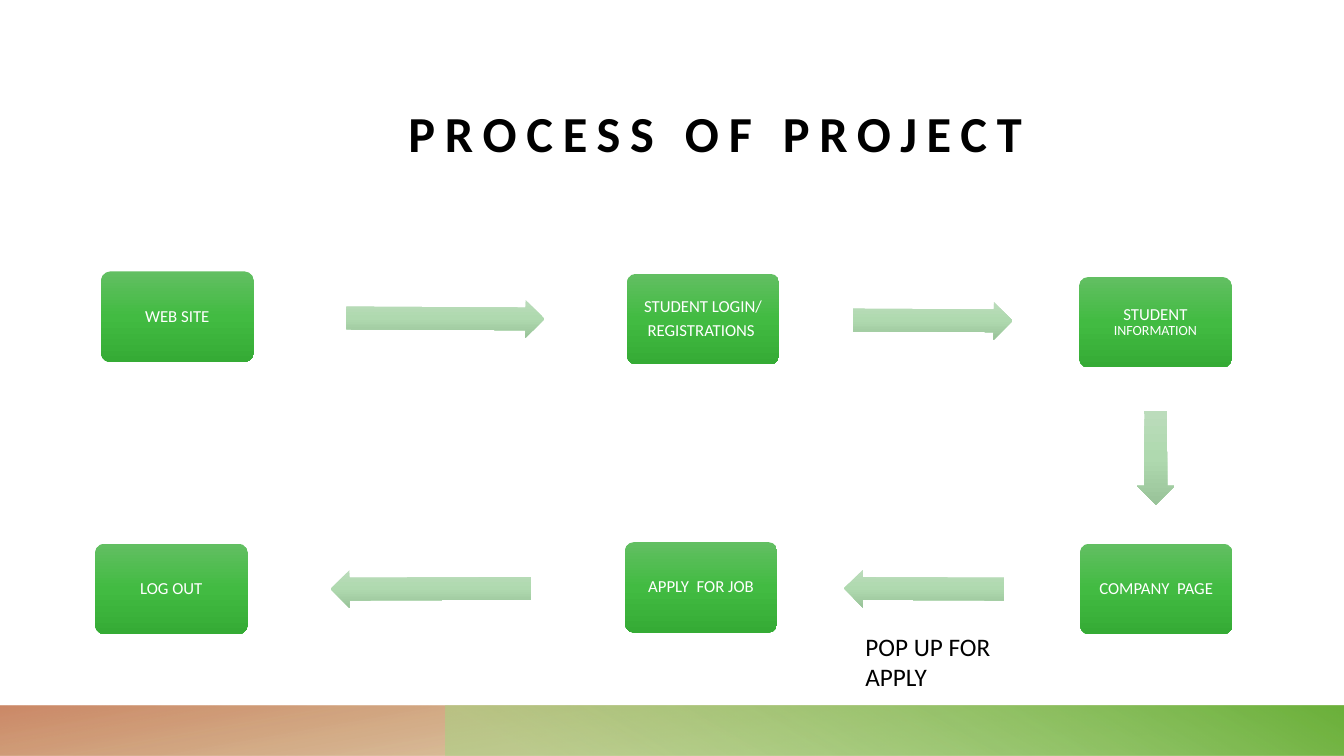
from dataclasses import dataclass
from typing import NamedTuple

from lxml.etree import SubElement
from pptx import Presentation
from pptx.dml.color import RGBColor
from pptx.enum.shapes import MSO_SHAPE as Preset
from pptx.enum.text import MSO_ANCHOR as Anchor, PP_ALIGN as Align
from pptx.oxml.ns import qn
from pptx.shapes.autoshape import Shape
from pptx.slide import Slide
from pptx.util import Cm, Pt


class Stop(NamedTuple):
    position: int
    color: str
    opacity: int = 100


class Words(NamedTuple):
    text: str
    size: int


class Area(NamedTuple):
    left: float
    top: float
    width: float
    height: float


@dataclass(frozen=True)
class Theme:
    font: str = "Calibri"
    ink: str = "000000"
    step_ink: str = "FFFFFF"
    title_size: int = 36
    caption_size: int = 18
    step_size: int = 12
    detail_size: int = 10
    step_fill: tuple[Stop, ...] = (Stop(0, "62BF62"), Stop(50, "42BB42"), Stop(100, "35AB35"))
    arrow_fill: tuple[Stop, ...] = (Stop(0, "BBDCBB"), Stop(50, "AFD9AF"), Stop(100, "99C399"))
    clay_fill: tuple[Stop, ...] = (Stop(14, "B1933B", 28), Stop(100, "C3744D", 85))
    leaf_fill: tuple[Stop, ...] = (Stop(9, "A6D684", 55), Stop(99, "6CB13B"))


THEME = Theme()
SLIDE_WIDTH, SLIDE_HEIGHT = 33.87, 19.05
BAND_HEIGHT = 1.27
BAND_TOP = SLIDE_HEIGHT - BAND_HEIGHT
LEAF_LEFT = 11.22
STEP_WIDTH, STEP_HEIGHT = 3.84, 2.28
ARROW_HEIGHT = 0.95


@dataclass(frozen=True)
class Step:
    left: float
    top: float
    lines: tuple[tuple[Words, ...], ...]


@dataclass(frozen=True)
class Arrow:
    left: float
    top: float
    length: float
    rotation: float


def line(text: str) -> tuple[Words, ...]:
    return (Words(text, THEME.step_size),)


STEPS = (
    Step(2.55, 6.84, (line("WEB SITE"),)),
    Step(15.8, 6.9, (line("STUDENT LOGIN/"), line("REGISTRATIONS "))),
    Step(27.2, 6.98, ((*line("STUDENT "), Words("INFORMATION", THEME.detail_size)),)),
    Step(27.22, 13.7, (line("COMPANY  PAGE"),)),
    Step(15.75, 13.66, (line("APPLY  FOR JOB"),)),
    Step(2.4, 13.7, (line("LOG OUT"),)),
)
ARROWS = (
    Arrow(8.73, 7.55, 4.99, 0.3),
    Arrow(21.5, 7.6, 4.02, 0.3),
    Arrow(27.94, 11.06, 2.37, 89.8),
    Arrow(21.27, 14.36, 4.03, 180.2),
    Arrow(8.33, 14.36, 5.05, 179.8),
)


def lengths(area: Area) -> tuple[Cm, ...]:
    return tuple(Cm(value) for value in area)


def write(
    shape: Shape,
    lines: tuple[tuple[Words, ...], ...],
    *,
    color: str = THEME.ink,
    bold: bool = False,
    tracking: int = 0,
    align: Align = Align.LEFT,
    anchor: Anchor = Anchor.TOP,
    insets: tuple[float, ...] = (0.25, 0.13, 0.25, 0.13),
    line_spacing: float = 1.0,
    space_after: float = 0,
) -> None:
    frame = shape.text_frame
    frame.word_wrap = True
    frame.vertical_anchor = anchor
    frame.margin_left, frame.margin_top, frame.margin_right, frame.margin_bottom = map(Cm, insets)
    for index, words in enumerate(lines):
        paragraph = frame.add_paragraph() if index else frame.paragraphs[0]
        paragraph.alignment = align
        paragraph.line_spacing = line_spacing
        paragraph.space_after = Pt(space_after)
        for text, size in words:
            run = paragraph.add_run()
            run.text = text
            run.font.name = THEME.font
            run.font.size = Pt(size)
            run.font.bold = bold
            run.font.color.rgb = RGBColor.from_string(color)
            if tracking:
                run._r.get_or_add_rPr().set("spc", str(tracking * 100))


def fill_gradient(shape: Shape, stops: tuple[Stop, ...], angle: int) -> None:
    shape.fill.gradient()
    gradient = shape._element.spPr.find(qn("a:gradFill"))
    gradient.clear()
    gradient.set("rotWithShape", "0")
    stop_list = SubElement(gradient, qn("a:gsLst"))
    for stop in stops:
        entry = SubElement(stop_list, qn("a:gs"), pos=str(stop.position * 1000))
        color = SubElement(entry, qn("a:srgbClr"), val=stop.color)
        if stop.opacity < 100:
            SubElement(color, qn("a:alpha"), val=str(stop.opacity * 1000))
    SubElement(gradient, qn("a:lin"), ang=str(angle * 60000), scaled="0")


def draw_shape(
    slide: Slide, preset: Preset, area: Area, stops: tuple[Stop, ...], angle: int = 90
) -> Shape:
    shape = slide.shapes.add_shape(preset, *lengths(area))
    shape.shadow.inherit = False
    shape.line.fill.background()
    fill_gradient(shape, stops, angle)
    return shape


def draw_step(slide: Slide, step: Step) -> None:
    area = Area(step.left, step.top, STEP_WIDTH, STEP_HEIGHT)
    box = draw_shape(slide, Preset.ROUNDED_RECTANGLE, area, THEME.step_fill)
    box.adjustments[0] = 0.1
    write(box, step.lines, color=THEME.step_ink, align=Align.CENTER, anchor=Anchor.MIDDLE,
          insets=(0.13,) * 4, line_spacing=0.9, space_after=4.2)


def draw_arrow(slide: Slide, arrow: Arrow) -> None:
    area = Area(arrow.left, arrow.top, arrow.length, ARROW_HEIGHT)
    shape = draw_shape(slide, Preset.RIGHT_ARROW, area, THEME.arrow_fill)
    shape.adjustments[0] = 0.6
    shape.adjustments[1] = 0.5
    shape.rotation = arrow.rotation


deck = Presentation()
deck.slide_width, deck.slide_height = Cm(SLIDE_WIDTH), Cm(SLIDE_HEIGHT)
process = deck.slides.add_slide(deck.slide_layouts[6])

draw_shape(process, Preset.RECTANGLE, Area(0, BAND_TOP, SLIDE_WIDTH, BAND_HEIGHT),
           THEME.clay_fill, 260)
draw_shape(process, Preset.RECTANGLE,
           Area(LEAF_LEFT, BAND_TOP, SLIDE_WIDTH - LEAF_LEFT, BAND_HEIGHT), THEME.leaf_fill, 300)

title = process.shapes.add_textbox(*lengths(Area(3.81, 2.21, 28.45, 3.43)))
write(title, ((Words("PROCESS OF PROJECT", THEME.title_size),),), bold=True, tracking=7,
      align=Align.CENTER, anchor=Anchor.BOTTOM, insets=(0, 0, 0, 1.55))

for step in STEPS:
    draw_step(process, step)
for arrow in ARROWS:
    draw_arrow(process, arrow)

popup = process.shapes.add_textbox(*lengths(Area(21.56, 15.77, 4.64, 1.8)))
write(popup, ((Words("POP UP FOR APPLY", THEME.caption_size),),))

deck.save("out.pptx")
